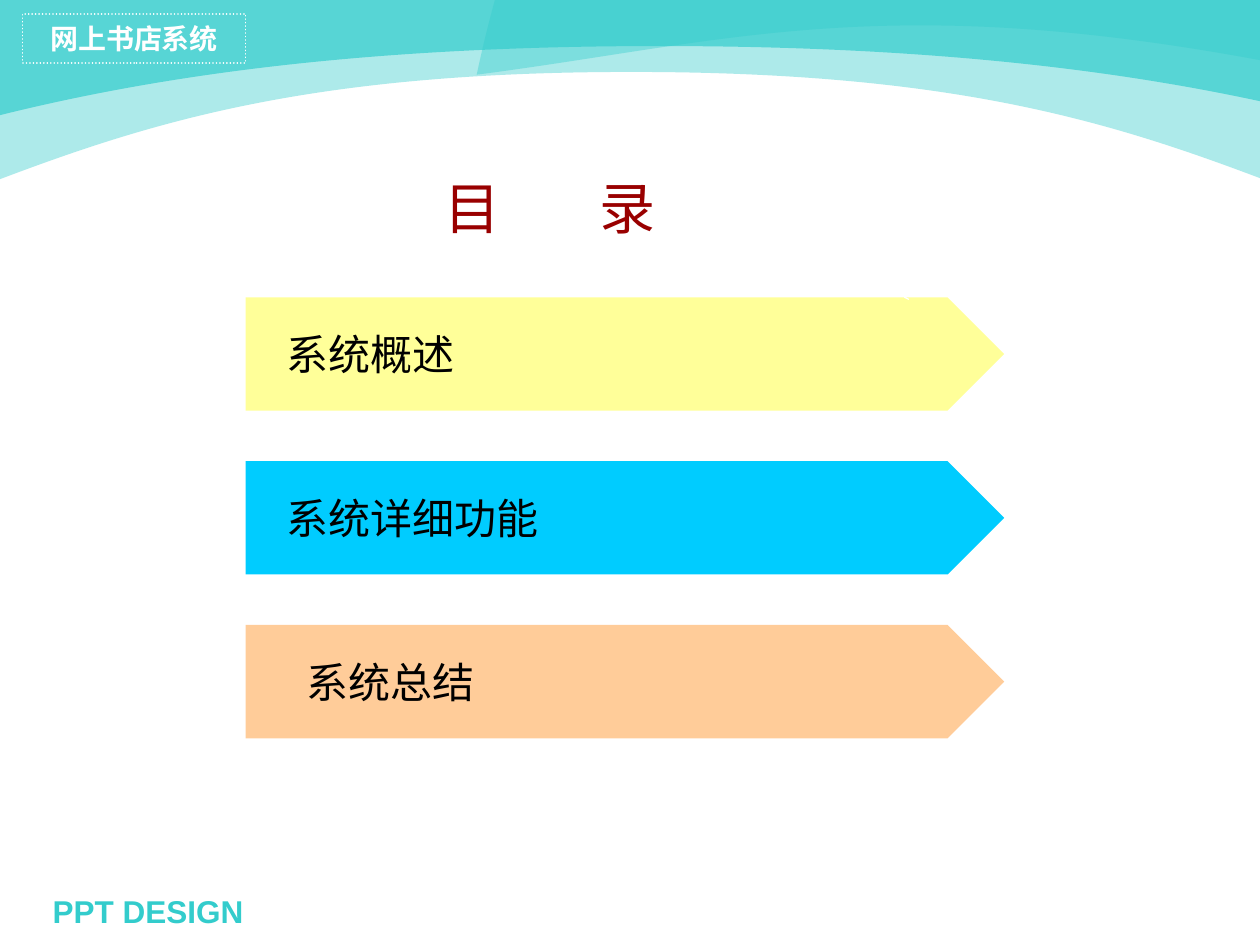
from math import cos, radians, sin

from lxml.etree import SubElement
from pptx import Presentation
from pptx.dml.color import RGBColor
from pptx.enum.dml import MSO_LINE
from pptx.enum.shapes import MSO_CONNECTOR, MSO_SHAPE
from pptx.enum.text import MSO_ANCHOR, MSO_AUTO_SIZE, PP_ALIGN
from pptx.oxml.ns import qn
from pptx.util import Inches, Pt

TEAL, WHITE, BLACK, DARK_RED = "33CCCC", "FFFFFF", "000000", "990000"
LATIN, CJK = "Arial", "Noto Sans CJK SC"

# Each band: opacity, rotation, centre, then the start point and, for each
# cubic curve, two controls and an end.
BANDS = [
    (70, 270, (5.23, -0.47), [
        (-3.29, 2.08),
        (-1.26, 1.22), (0.72, 0.36), (5.23, 0.36),
        (9.75, 0.36), (11.73, 1.22), (13.75, 2.08),
        (13.75, -0.72), (9.91, -3.03), (5.23, -3.03),
        (0.55, -3.03), (-3.29, -0.72), (-3.29, 2.08)]),
    (40, 270, (5.01, -0.46), [
        (-0.78, 1.72),
        (0.75, 1.14), (1.95, 0.57), (5.01, 0.57),
        (8.08, 0.57), (9.27, 1.14), (10.8, 1.72),
        (10.8, -0.67), (8.19, -2.64), (5.01, -2.64),
        (1.83, -2.64), (-0.78, -0.67), (-0.78, 1.72)]),
    (40, 102, (11.19, -2.05), [
        (16.88, 3.38),
        (15.08, 2.27), (14.09, 1.34), (10.63, 0.6),
        (7.16, -0.14), (5.88, 0.32), (3.79, 0.59),
        (4.73, -3.84), (8.46, -6.86), (12.05, -6.09),
        (15.64, -5.33), (17.82, -1.06), (16.88, 3.38)]),
]

# Each chapter: wording, arrow colour, text indent.
CHAPTERS = [
    ("系统概述", "FFFF99", 0.32),
    ("系统详细功能", "00CCFF", 0.32),
    ("系统总结", "FFCC99", 0.48),
]


def rgb(value):
    return RGBColor.from_string(value)


def paint(shape, fill=None):
    """Give the shape a flat fill, or none, without outline or shadow."""
    shape.shadow.inherit = False
    shape.line.fill.background()
    if fill:
        shape.fill.solid()
        shape.fill.fore_color.rgb = rgb(fill)
    else:
        shape.fill.background()


def write(shape, wording, color, size, font=CJK, bold=False,
          align=PP_ALIGN.LEFT, **frame_format):
    frame = shape.text_frame
    frame_values = {"word_wrap": False, "auto_size": MSO_AUTO_SIZE.NONE,
                    "vertical_anchor": MSO_ANCHOR.MIDDLE,
                    "margin_left": Inches(0.1), "margin_right": Inches(0.1),
                    "margin_top": Inches(0.05), "margin_bottom": Inches(0.05)}
    for key, value in (frame_values | frame_format).items():
        setattr(frame, key, value)
    paragraph = frame.paragraphs[0]
    paragraph.alignment = align
    run = paragraph.add_run()
    run.text = wording
    for key, value in {"name": font, "size": Pt(size), "bold": bold}.items():
        setattr(run.font, key, value)
    run.font.color.rgb = rgb(color)
    SubElement(run.font._element, qn("a:ea"), typeface=CJK)


def bend(freeform):
    """Turn every three straight segments into one cubic curve."""
    outline = next(freeform._element.iter(qn("a:path")))
    segments = outline.findall(qn("a:lnTo"))
    for first in range(0, len(segments), 3):
        curve = SubElement(outline, qn("a:cubicBezTo"))
        segments[first].addprevious(curve)
        for segment in segments[first:first + 3]:
            curve.append(segment[0])
            outline.remove(segment)


def add_bands(slide, left, top):
    for opacity, rotation, (center_x, center_y), points in BANDS:
        turn_x, turn_y = cos(radians(rotation)), sin(radians(rotation))
        unturned = []
        for x, y in points:
            dx, dy = x - center_x, y - center_y
            unturned.append((Inches(left + center_x + dx * turn_x + dy * turn_y),
                             Inches(top + center_y - dx * turn_y + dy * turn_x)))
        builder = slide.shapes.build_freeform(*unturned[0])
        builder.add_line_segments(unturned[1:])
        band = builder.convert_to_shape()
        bend(band)
        band.rotation = rotation
        paint(band, TEAL)
        band_color = band.fill._xPr.find(qn("a:solidFill"))[0]
        SubElement(band_color, qn("a:alpha"), val=str(opacity * 1000))


def add_system_name(slide, *box):
    system_name = slide.shapes.add_shape(MSO_SHAPE.RECTANGLE, *map(Inches, box))
    paint(system_name)
    system_name.line.color.rgb = rgb(WHITE)
    system_name.line.width = Pt(1)
    system_name.line.dash_style = MSO_LINE.ROUND_DOT
    system_name.line._ln.set("cap", "rnd")
    write(system_name, "网上书店系统", WHITE, 16, LATIN, True, PP_ALIGN.CENTER)


def add_footer(slide, *box):
    footer = slide.shapes.add_textbox(*map(Inches, box))
    write(footer, "PPT DESIGN", TEAL, 18, LATIN, True, PP_ALIGN.CENTER)


def set_title(slide, *box):
    title = slide.shapes.title
    for key, value in zip(("left", "top", "width", "height"), box):
        setattr(title, key, Inches(value))
    write(title, "目\t录", DARK_RED, 32, word_wrap=True, vertical_anchor=MSO_ANCHOR.TOP)
    tabs = SubElement(title.text_frame.paragraphs[0]._p.get_or_add_pPr(), qn("a:tabLst"))
    SubElement(tabs, qn("a:tab"), pos=str(Inches(1.23)), algn="l")


def add_chapters(slide, left, top, width, height, pitch):
    for row, (chapter, color, indent) in enumerate(CHAPTERS):
        arrow = slide.shapes.add_shape(
            MSO_SHAPE.PENTAGON, Inches(left), Inches(top + row * pitch),
            Inches(width), Inches(height))
        paint(arrow, color)
        write(arrow, chapter, BLACK, 24, margin_left=Inches(indent))


def add_dashed_line(slide, *ends):
    dashes = slide.shapes.add_connector(MSO_CONNECTOR.STRAIGHT, *map(Inches, ends))
    dashes.line.color.rgb = rgb(WHITE)
    dashes.line.width = Pt(0.75)
    dashes.line.dash_style = MSO_LINE.DASH
    SubElement(dashes._element.spPr, qn("a:effectLst"))


def main():
    deck = Presentation()
    deck.slide_width, deck.slide_height = Inches(10), Inches(7.5)
    slide = deck.slides.add_slide(deck.slide_layouts[5])
    add_bands(slide, 0, 0)
    add_footer(slide, 0.02, 6.97, 2.31, 0.52)
    add_system_name(slide, 0.18, 0.11, 1.77, 0.39)
    set_title(slide, 3.43, 1.33, 2.67, 0.64)
    add_chapters(slide, 1.95, 2.36, 6.02, 0.9, pitch=1.3)
    add_dashed_line(slide, 4.77, 2.18, 5.77, 1.84)
    add_dashed_line(slide, 6.41, 1.97, 7.24, 2.39)
    deck.save("out.pptx")


if __name__ == "__main__":
    main()
